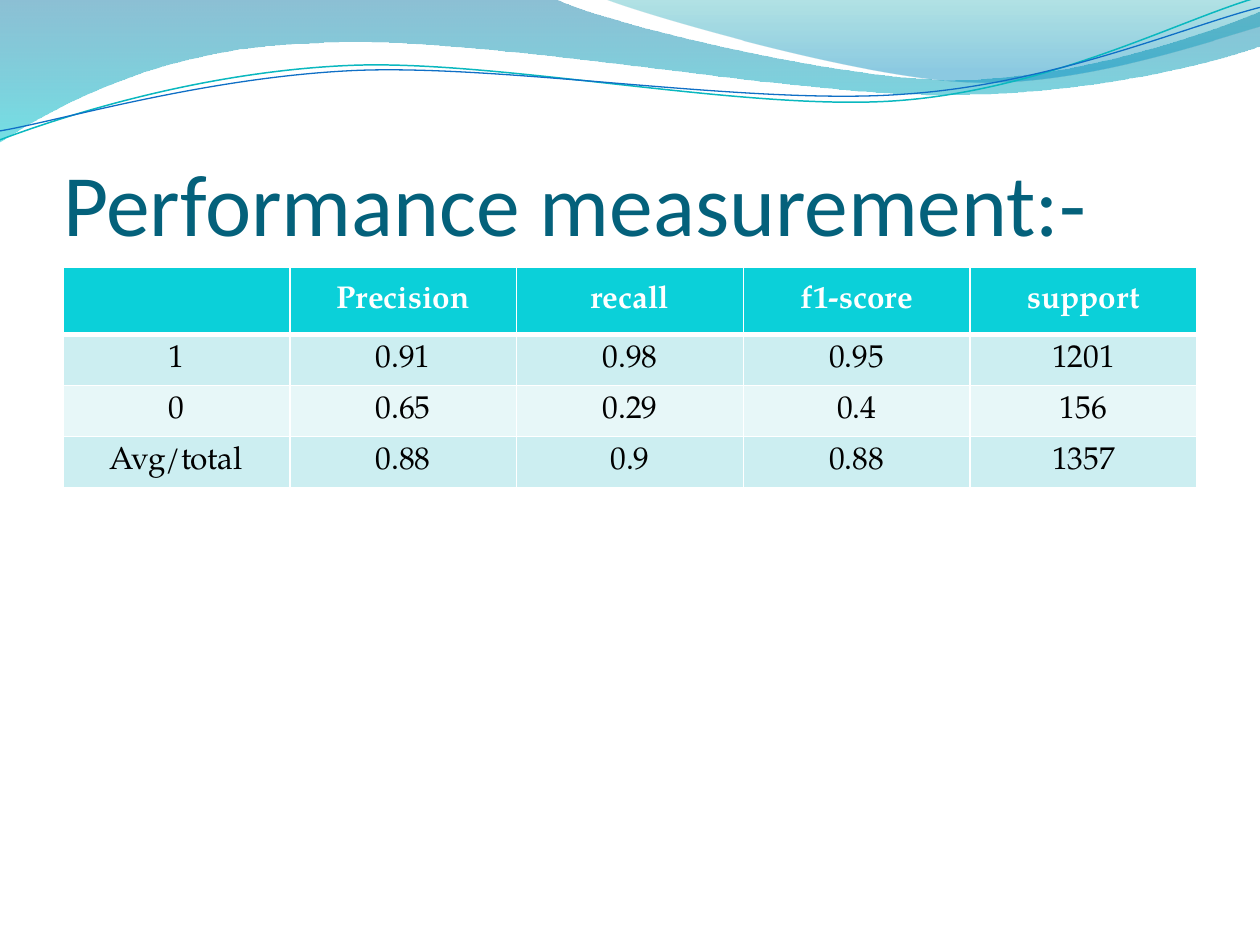
from pptx import Presentation
from pptx.dml.color import RGBColor
from pptx.enum.text import MSO_ANCHOR, MSO_AUTO_SIZE, PP_ALIGN
from pptx.oxml.ns import qn
from pptx.util import Cm, Pt
from lxml.etree import SubElement

TITLE = "Performance measurement:-"
SCORES = [
    ("", "Precision", "recall", "f1-score", "support"),
    ("1", "0.91", "0.98", "0.95", "1201"),
    ("0", "0.65", "0.29", "0.4", "156"),
    ("Avg/total", "0.88", "0.9", "0.88", "1357"),
]
COLORS = {
    "title": "04617B", "header": "0BD0D9", "odd": "CCEEF1", "even": "E7F7F8",
    "white": "FFFFFF", "black": "000000", "teal": "0AB8BF", "blue": "0F6FC6",
    "deep": "0074A1", "aqua": "00C6CF", "sea": "00A1A9", "sky": "008BBF",
}
TITLE_FONT, TABLE_FONT = "Calibri", "TeX Gyre Pagella"
MARGIN, CONTENT_WIDTH = 1.27, 22.86
TABLE_TOP, HEADER_HEIGHT, ROW_HEIGHT = 5.38, 1.36, 1.03

# Outlines in cm: a pair is a straight step, six numbers are a Bezier step.
# Gradient stops: position, colour, opacity in percent.
BANDS = [
    {"outline": [(0, 0), (11.18, -0.03),
                 (12.09, 0.43, 16.87, 1.6, 19.25, 1.6),
                 (21.67, 1.6, 24.33, 0.66, 25.4, 0.23), (25.43, 0.91),
                 (24.97, 1.12, 22.1, 1.93, 18.95, 1.91),
                 (15.8, 1.91, 9.7, 0.71, 6.53, 0.86),
                 (3.28, 0.91, 1.17, 2.11, -0.03, 2.87)],
     "stops": [(0, "deep", 45), (1, "aqua", 55)]},
    {"outline": [(12.17, -0.03),
                 (12.93, 0.28, 17.32, 1.57, 19.53, 1.65),
                 (21.74, 1.75, 24.41, 0.81, 25.4, 0.53), (25.4, 0)],
     "stops": [(0, "sea", 30), (0.8, "sky", 45)]},
]
STRANDS = [
    {"outline": [(0, 2.82),
                 (1.22, 2.36, 4.01, 1.45, 7.04, 1.32),
                 (10.03, 1.19, 15.06, 2.26, 18.11, 2.03),
                 (21.16, 1.8, 23.83, 0.38, 25.35, -0.05)],
     "color": "teal", "width": 0.85},
    {"outline": [(0, 2.64),
                 (1.19, 2.44, 4.17, 1.55, 7.19, 1.42),
                 (10.24, 1.3, 15.16, 2.13, 18.21, 1.9),
                 (21.23, 1.7, 23.9, 0.53, 25.4, 0.15)],
     "color": "blue", "width": 0.75},
]


def rgb(name):
    """Return the named colour."""
    return RGBColor.from_string(COLORS[name])


def bend(shape, steps):
    """Join the straight segments of each Bezier step into one curve."""
    segments = iter(list(shape._element.spPr.iter(qn("a:lnTo"))))
    for step in steps:
        first = next(segments)
        if len(step) == 6:
            first.tag = qn("a:cubicBezTo")
            for _ in range(2):
                extra = next(segments)
                extra.getparent().remove(extra)
                first.append(extra[0])


def add_outline(page, outline, close):
    """Draw an outline as a freeform without shadow."""
    points = [(Cm(step[i]), Cm(step[i + 1]))
              for step in outline for i in range(0, len(step), 2)]
    builder = page.shapes.build_freeform(*points[0])
    builder.add_line_segments(points[1:], close=False)
    shape = builder.convert_to_shape()
    bend(shape, outline[1:])
    if close:
        SubElement(next(shape._element.spPr.iter(qn("a:path"))), qn("a:close"))
    shape.shadow.inherit = False
    return shape


def add_band(page, band):
    """Draw a translucent band with a top-to-bottom gradient."""
    shape = add_outline(page, band["outline"], True)
    shape.line.fill.background()
    shape.fill.gradient()
    shape.fill.gradient_angle = 270
    for stop, (position, color, _) in zip(shape.fill.gradient_stops, band["stops"]):
        stop.position = position
        stop.color.rgb = rgb(color)
    tints = shape._element.spPr.iter(qn("a:srgbClr"))
    for tint, (_, _, opacity) in zip(tints, band["stops"]):
        SubElement(tint, qn("a:alpha"), val=str(opacity * 1000))


def add_strand(page, strand):
    """Draw a thin wavy line."""
    shape = add_outline(page, strand["outline"], False)
    shape.fill.background()
    shape.line.color.rgb = rgb(strand["color"])
    shape.line.width = Pt(strand["width"])


def style_text(frame, font, size, color, align, bold=False):
    """Format all text of a frame."""
    for para in frame.paragraphs:
        para.alignment = align
        for span in para.runs:
            span.font.name = font
            span.font.size = Pt(size)
            span.font.bold = bold
            span.font.color.rgb = rgb(color)


def set_title(page):
    """Place and format the title."""
    title = page.shapes.title
    title.left, title.top = Cm(MARGIN), Cm(1.96)
    title.width, title.height = Cm(CONTENT_WIDTH), Cm(3.17)
    frame = title.text_frame
    frame.text = TITLE
    frame.word_wrap = True
    frame.auto_size = MSO_AUTO_SIZE.NONE
    frame.vertical_anchor = MSO_ANCHOR.BOTTOM
    frame.margin_left = frame.margin_right = frame.margin_bottom = 0
    frame.margin_top = Cm(0.13)
    style_text(frame, TITLE_FONT, 50, "title", PP_ALIGN.LEFT)
    page.shapes._spTree.append(title._element)


def add_borders(cell, bottom, top):
    """Give a cell white borders; bottom and top are widths in points."""
    properties = cell._tc.get_or_add_tcPr()
    for i, (side, width) in enumerate(zip("LRTB", (1, 1, top, bottom))):
        line = SubElement(properties, qn("a:ln" + side), w=str(Pt(width)))
        fill = SubElement(line, qn("a:solidFill"))
        SubElement(fill, qn("a:srgbClr"), val=COLORS["white"])
        properties.insert(i, line)


def add_scores(page):
    """Add the table of scores."""
    height = HEADER_HEIGHT + ROW_HEIGHT * (len(SCORES) - 1)
    table = page.shapes.add_table(len(SCORES), len(SCORES[0]), Cm(MARGIN), Cm(TABLE_TOP),
                                  Cm(CONTENT_WIDTH), Cm(height)).table
    for r, values in enumerate(SCORES):
        header = r == 0
        table.rows[r].height = Cm(HEADER_HEIGHT if header else ROW_HEIGHT)
        for c, value in enumerate(values):
            cell = table.cell(r, c)
            cell.text = value
            cell.vertical_anchor = MSO_ANCHOR.MIDDLE
            cell.margin_left = cell.margin_right = cell.margin_top = Cm(0.03)
            cell.margin_bottom = 0
            cell.fill.solid()
            cell.fill.fore_color.rgb = rgb("header" if header else "odd" if r % 2 else "even")
            add_borders(cell, 3 if header else 1, 3 if r == 1 else 1)
            style_text(cell.text_frame, TABLE_FONT, 18, "white" if header else "black",
                       PP_ALIGN.CENTER, header)


deck = Presentation()
deck.slide_width, deck.slide_height = Cm(25.4), Cm(19.05)
page = deck.slides.add_slide(deck.slide_layouts[5])
for band in BANDS:
    add_band(page, band)
for strand in STRANDS:
    add_strand(page, strand)
set_title(page)
add_scores(page)
deck.save("out.pptx")
